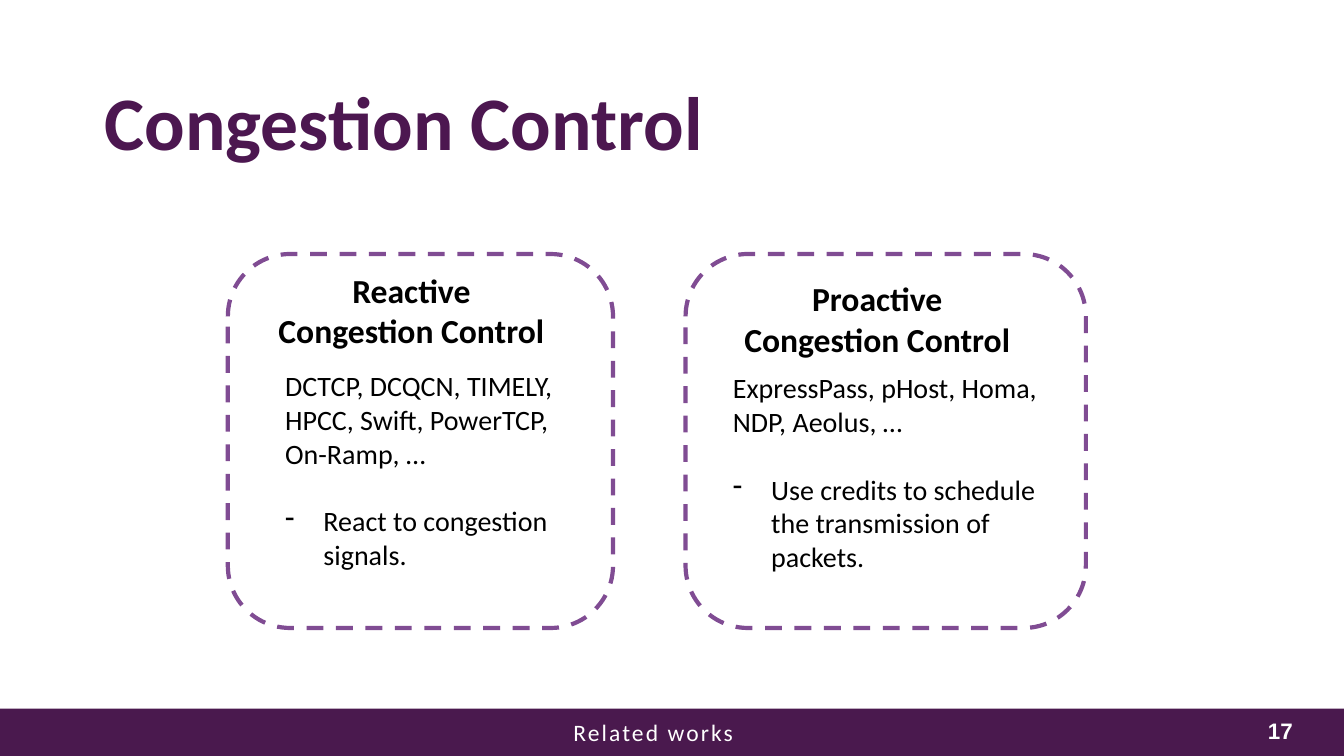
from dataclasses import dataclass

from lxml import etree
from pptx import Presentation
from pptx.dml.color import RGBColor
from pptx.enum.dml import MSO_LINE
from pptx.enum.shapes import MSO_SHAPE
from pptx.enum.text import MSO_ANCHOR, PP_ALIGN
from pptx.oxml.ns import qn
from pptx.slide import Slide
from pptx.text.text import _Paragraph
from pptx.util import Inches, Pt

DASH = MSO_LINE.DASH
RECTANGLE, ROUNDED = MSO_SHAPE.RECTANGLE, MSO_SHAPE.ROUNDED_RECTANGLE
TOP, MIDDLE = MSO_ANCHOR.TOP, MSO_ANCHOR.MIDDLE
LEFT, CENTER, RIGHT = PP_ALIGN.LEFT, PP_ALIGN.CENTER, PP_ALIGN.RIGHT

FOOTER_PURPLE = RGBColor(0x4A, 0x19, 0x4E)
TITLE_PURPLE = RGBColor(0x4C, 0x17, 0x50)
BORDER_PURPLE = RGBColor(0x80, 0x4C, 0x93)
WHITE = RGBColor(0xFF, 0xFF, 0xFF)
BLACK = RGBColor(0x00, 0x00, 0x00)

CARD_TOP, CARD_HEIGHT = 2.52, 3.71
HEADING_WIDTH, HEADING_HEIGHT = 3.22, 0.91
BODY_HEIGHT = 2.46
BULLET_INDENT = 0.38
BULLET_GAP = 24.4


@dataclass(frozen=True)
class Area:
    left: float
    top: float
    width: float
    height: float

    def lengths(self) -> list[int]:
        return [Inches(n) for n in (self.left, self.top, self.width, self.height)]


@dataclass(frozen=True)
class Style:
    size: float
    color: RGBColor = BLACK
    bold: bool = False
    align: PP_ALIGN = LEFT
    font: str = "Calibri"
    anchor: MSO_ANCHOR = TOP


@dataclass(frozen=True)
class Card:
    outline: Area
    heading_area: Area
    heading: list[str]
    body_area: Area
    schemes: list[str]
    point: str


TITLE = Style(54, TITLE_PURPLE, bold=True)
HEADING = Style(24, bold=True, align=CENTER)
BODY = Style(20)
SECTION = Style(16.8, WHITE, align=CENTER)
NUMBER = Style(16, WHITE, bold=True, align=RIGHT, font="Arial", anchor=MIDDLE)

CARDS = [
    Card(
        Area(2.26, CARD_TOP, 3.82, CARD_HEIGHT),
        Area(2.47, 2.63, HEADING_WIDTH, HEADING_HEIGHT),
        ["Reactive", "Congestion Control"],
        Area(2.73, 3.61, 2.96, BODY_HEIGHT),
        ["DCTCP, DCQCN, TIMELY, HPCC, Swift, PowerTCP, On-Ramp, …"],
        "React to congestion signals.",
    ),
    Card(
        Area(6.8, CARD_TOP, 3.97, CARD_HEIGHT),
        Area(7.09, 2.71, HEADING_WIDTH, HEADING_HEIGHT),
        ["Proactive", "Congestion Control"],
        Area(7.17, 3.63, 3.22, BODY_HEIGHT),
        ["ExpressPass, pHost, Homa,", "NDP, Aeolus, …"],
        "Use credits to schedule the transmission of packets.",
    ),
]


def make_bullet(para: _Paragraph) -> None:
    """Give the paragraph a hanging dash and a gap above."""
    para.space_before = Pt(BULLET_GAP)
    properties = para._p.get_or_add_pPr()
    properties.set("marL", str(Inches(BULLET_INDENT)))
    properties.set("indent", str(-Inches(BULLET_INDENT)))
    etree.SubElement(properties, qn("a:buChar")).set("char", "-")


def add_text(page: Slide, area: Area, lines: list[str], style: Style) -> list[_Paragraph]:
    box = page.shapes.add_textbox(*area.lengths())
    frame = box.text_frame
    frame.word_wrap = True
    frame.vertical_anchor = style.anchor
    frame.text = "\n".join(lines)
    for para in frame.paragraphs:
        para.alignment = style.align
        for span in para.runs:
            span.font.name = style.font
            span.font.size = Pt(style.size)
            span.font.bold = style.bold
            span.font.color.rgb = style.color
    return list(frame.paragraphs)


def add_footer(page: Slide) -> None:
    band = page.shapes.add_shape(RECTANGLE, *Area(0, 7.03, 13.33, 0.47).lengths())
    band.shadow.inherit = False
    band.fill.solid()
    band.fill.fore_color.rgb = FOOTER_PURPLE
    band.line.fill.background()
    add_text(page, Area(9.97, 7.07, 2.95, 0.35), ["17"], NUMBER)
    section = add_text(page, Area(5.06, 7.05, 2.84, 0.43), ["Related works"], SECTION)[0]
    section.line_spacing = 1.1
    section.runs[0].font._element.set("spc", "150")


def add_card(page: Slide, card: Card) -> None:
    outline = page.shapes.add_shape(ROUNDED, *card.outline.lengths())
    outline.shadow.inherit = False
    outline.fill.background()
    outline.line.color.rgb = BORDER_PURPLE
    outline.line.width = Pt(3)
    outline.line.dash_style = DASH
    add_text(page, card.heading_area, card.heading, HEADING)
    paras = add_text(page, card.body_area, [*card.schemes, card.point], BODY)
    make_bullet(paras[-1])


def main() -> None:
    deck = Presentation()
    deck.slide_width, deck.slide_height = Inches(13.33), Inches(7.5)
    page = deck.slides.add_slide(deck.slide_layouts[6])

    # Footer band and title
    add_footer(page)
    add_text(page, Area(0.94, 0.69, 9.45, 1.01), ["Congestion Control"], TITLE)

    # The two families of congestion control
    for card in CARDS:
        add_card(page, card)

    deck.save("out.pptx")


if __name__ == "__main__":
    main()
